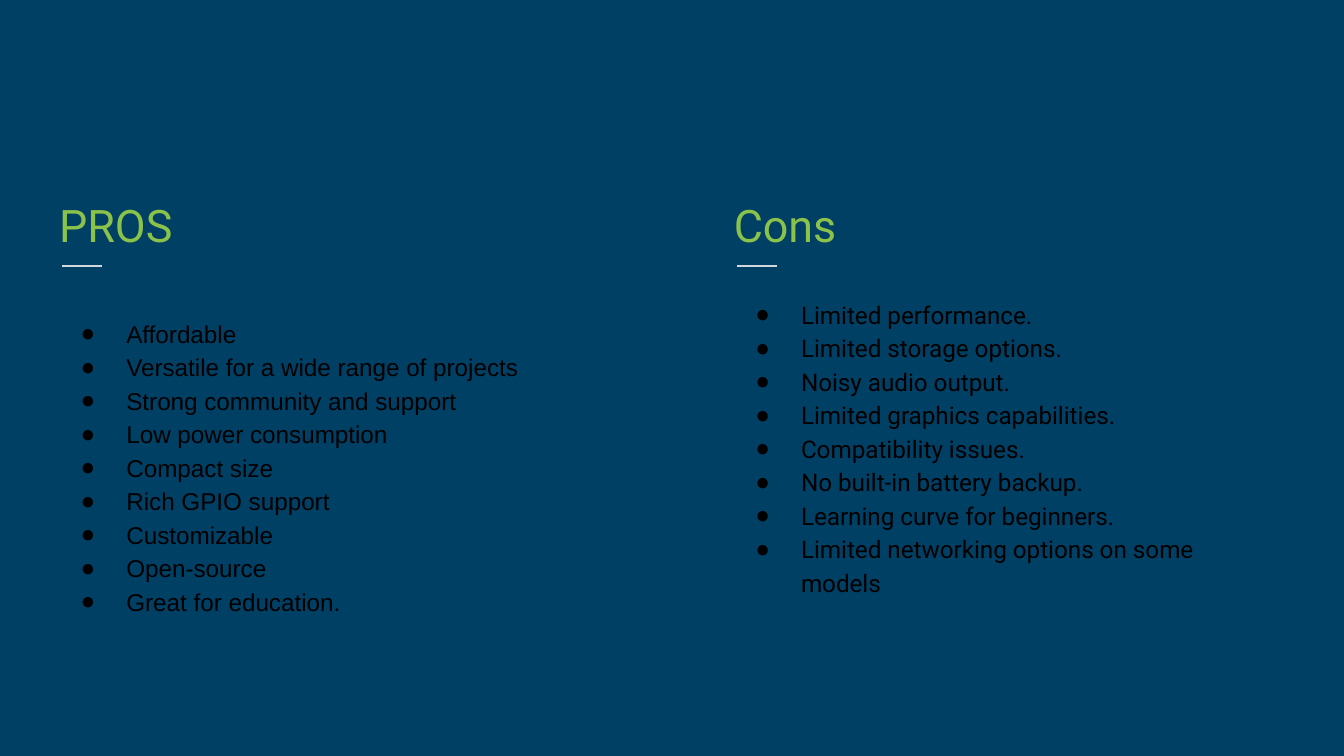
from dataclasses import dataclass

from lxml.etree import SubElement
from pptx import Presentation
from pptx.dml.color import RGBColor
from pptx.enum.shapes import MSO_CONNECTOR
from pptx.enum.text import MSO_ANCHOR, MSO_AUTO_SIZE, PP_ALIGN
from pptx.oxml.ns import qn
from pptx.util import Inches, Pt


@dataclass(frozen=True)
class Theme:
    background: RGBColor = RGBColor(0x00, 0x40, 0x65)
    heading: RGBColor = RGBColor(0x8B, 0xC3, 0x4A)
    body: RGBColor = RGBColor(0x00, 0x00, 0x00)
    rule: RGBColor = RGBColor(0xCF, 0xD8, 0xDC)
    heading_size: Pt = Pt(24)
    body_size: Pt = Pt(13)
    rule_width: Pt = Pt(0.75)
    heading_font: str = "Roboto"


THEME = Theme()
COLUMN_WIDTH = 4.21

PROS = [
    "Affordable",
    "Versatile for a wide range of projects",
    "Strong community and support",
    "Low power consumption",
    "Compact size",
    "Rich GPIO support",
    "Customizable",
    "Open-source",
    "Great for education.",
]
CONS = [
    "Limited performance.",
    "Limited storage options.",
    "Noisy audio output.",
    "Limited graphics capabilities.",
    "Compatibility issues.",
    "No built-in battery backup.",
    "Learning curve for beginners.",
    "Limited networking options on some models",
]


def place(placeholder, left, top, height):
    """Move a placeholder and give it a plain, top-anchored text frame."""
    placeholder.left, placeholder.top = Inches(left), Inches(top)
    placeholder.width, placeholder.height = Inches(COLUMN_WIDTH), Inches(height)
    frame = placeholder.text_frame
    frame.margin_left = frame.margin_right = Inches(0.1)
    frame.margin_top = frame.margin_bottom = Inches(0.1)
    frame.word_wrap = True
    frame.auto_size = MSO_AUTO_SIZE.NONE
    frame.vertical_anchor = MSO_ANCHOR.TOP
    return frame


def format_paragraph(paragraph, font, size, color):
    paragraph.alignment = PP_ALIGN.LEFT
    paragraph.line_spacing = 1.15
    paragraph.space_before = Pt(0)
    for run in paragraph.runs:
        run.font.name = font
        run.font.size = size
        run.font.bold = False
        run.font.color.rgb = color


def add_bullet(paragraph, color):
    properties = paragraph._p.get_or_add_pPr()
    properties.set("marL", str(Inches(0.5)))
    properties.set("indent", str(Inches(-0.34)))
    bullet_color = SubElement(properties, qn("a:buClr"))
    SubElement(bullet_color, qn("a:srgbClr")).set("val", str(color))
    SubElement(properties, qn("a:buChar")).set("char", "●")


def write_heading(placeholder, text, left):
    frame = place(placeholder, left, 1.31, 0.57)
    frame.text = text
    format_paragraph(frame.paragraphs[0], THEME.heading_font,
                     THEME.heading_size, THEME.heading)


def write_list(placeholder, items, left, top, height, font):
    frame = place(placeholder, left, top, height)
    frame.text = "\n".join(items)
    for paragraph in frame.paragraphs:
        add_bullet(paragraph, THEME.body)
        format_paragraph(paragraph, font, THEME.body_size, THEME.body)


def add_rule(slide, column_left):
    left, top = column_left + 0.12, 1.98
    rule = slide.shapes.add_connector(
        MSO_CONNECTOR.STRAIGHT,
        Inches(left), Inches(top), Inches(left + 0.3), Inches(top))
    rule.line.color.rgb = THEME.rule
    rule.line.width = THEME.rule_width
    SubElement(rule._element.spPr, qn("a:effectLst"))


def main():
    deck = Presentation()
    deck.slide_width = Inches(10)
    deck.slide_height = deck.slide_width * 9 // 16
    comparison = deck.slide_layouts.get_by_name("Comparison")
    slide = deck.slides.add_slide(comparison)
    slide.background.fill.solid()
    slide.background.fill.fore_color.rgb = THEME.background

    title, *column_parts = slide.placeholders
    title._element.getparent().remove(title._element)
    pros_heading, pros_list, cons_heading, cons_list = column_parts

    pros_left, cons_left = 0.34, 5.36
    write_heading(pros_heading, "PROS", pros_left)
    write_list(pros_list, PROS, pros_left, 2.24, 3.18, "Arial")
    write_heading(cons_heading, "Cons", cons_left)
    write_list(cons_list, CONS, cons_left, 2.1, 3.01, "Roboto")
    for column_left in (pros_left, cons_left):
        add_rule(slide, column_left)

    deck.save("out.pptx")


if __name__ == "__main__":
    main()
